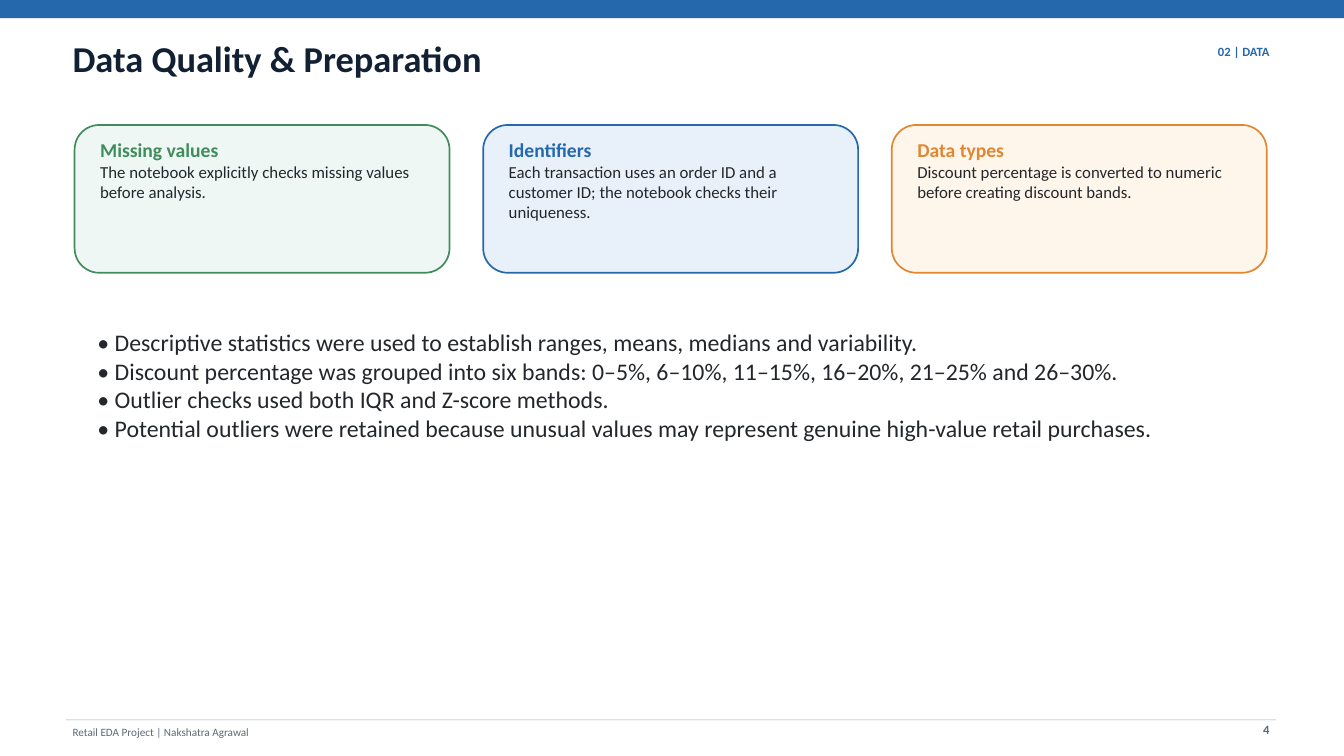
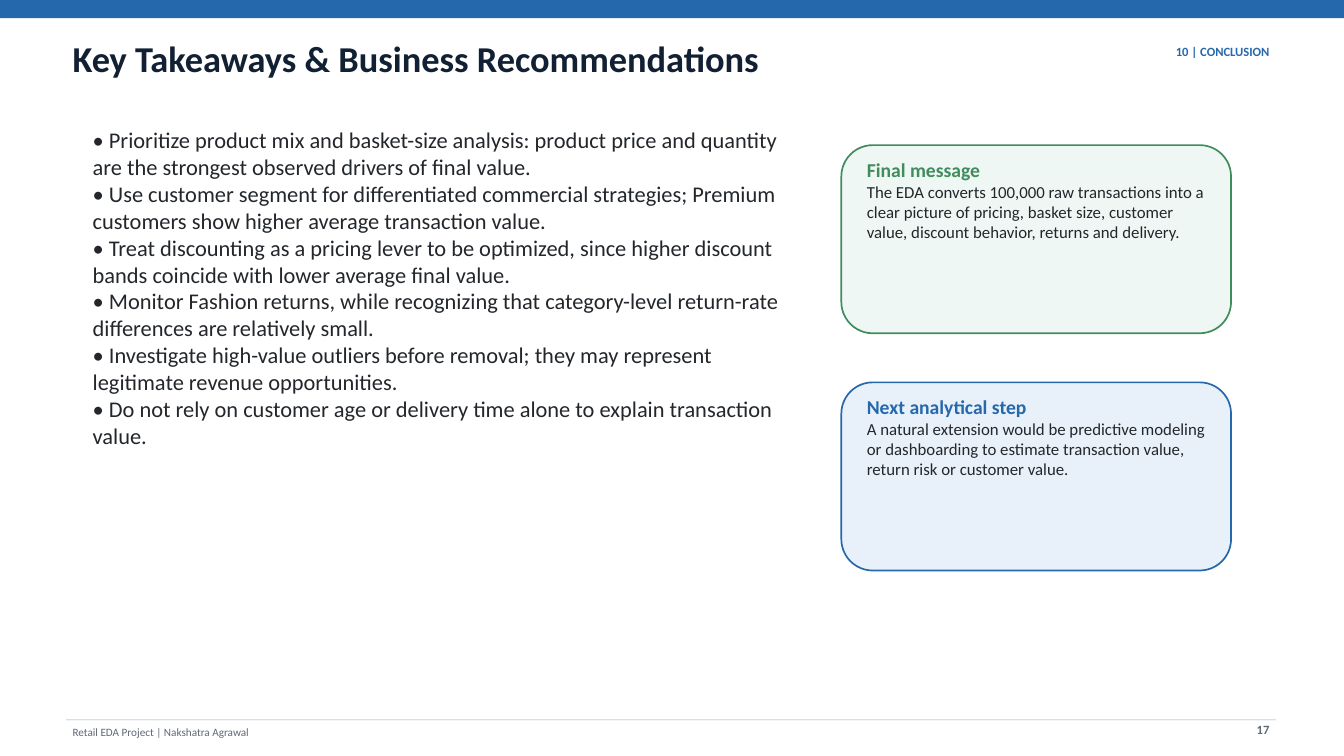
"""Build the data quality and key takeaways slides of the retail EDA deck."""
from pptx import Presentation
from pptx.dml.color import RGBColor
from pptx.enum.shapes import MSO_SHAPE
from pptx.enum.text import PP_ALIGN
from pptx.util import Inches, Pt

RECTANGLE = MSO_SHAPE.RECTANGLE
ROUNDED = MSO_SHAPE.ROUNDED_RECTANGLE
LEFT, RIGHT = PP_ALIGN.LEFT, PP_ALIGN.RIGHT

FONT = "Calibri"
BLUE, GREEN, ORANGE = "2668AC", "408C5D", "E08730"
NAVY, INK, GREY, RULE = "122034", "23272B", "5F6976", "DCE0E5"
TINTS = {GREEN: "EEF7F4", BLUE: "E8F1FA", ORANGE: "FFF6EB"}

TITLE = {"size": 39, "bold": True, "color": NAVY}
SECTION = {"size": 13.5, "bold": True, "color": BLUE}
FOOTER = {"size": 12, "bold": False, "color": GREY}
NUMBER = {"size": 13.5, "bold": True, "color": GREY}
CARD_BODY = {"size": 18, "bold": False, "color": INK}

CARD_INSET_X, CARD_INSET_Y = 0.38, 0.19

SLIDES = [
    {
        "title": "Data Quality & Preparation",
        "section": "02 | DATA",
        "number": "4",
        "bullet_area": (1.45, 4.88, 16.76, 4.01),
        "bullet_size": 25.5,
        "bullets": [
            "Descriptive statistics were used to establish ranges, means, medians and variability.",
            "Discount percentage was grouped into six bands: 0–5%, 6–10%, 11–15%, 16–20%, 21–25% and 26–30%.",
            "Outlier checks used both IQR and Z-score methods.",
            "Potential outliers were retained because unusual values may represent genuine high-value retail purchases.",
        ],
        "first_card": (1.11, 1.86),
        "card_size": (5.58, 2.2),
        "card_step": (6.08, 0),
        "cards": [
            (GREEN, "Missing values", "The notebook explicitly checks missing values before analysis."),
            (BLUE, "Identifiers",
             "Each transaction uses an order ID and a customer ID; the notebook checks their uniqueness."),
            (ORANGE, "Data types",
             "Discount percentage is converted to numeric before creating discount bands."),
        ],
    },
    {
        "title": "Key Takeaways & Business Recommendations",
        "section": "10 | CONCLUSION",
        "number": "17",
        "bullet_area": (1.38, 1.88, 10.46, 7.37),
        "bullet_size": 24,
        "bullets": [
            "Prioritize product mix and basket-size analysis: product price and quantity are the strongest "
            "observed drivers of final value.",
            "Use customer segment for differentiated commercial strategies; Premium customers show higher "
            "average transaction value.",
            "Treat discounting as a pricing lever to be optimized, since higher discount bands coincide with "
            "lower average final value.",
            "Monitor Fashion returns, while recognizing that category-level return-rate differences are "
            "relatively small.",
            "Investigate high-value outliers before removal; they may represent legitimate revenue opportunities.",
            "Do not rely on customer age or delivery time alone to explain transaction value.",
        ],
        "first_card": (12.52, 2.16),
        "card_size": (5.8, 2.8),
        "card_step": (0, 3.53),
        "cards": [
            (GREEN, "Final message",
             "The EDA converts 100,000 raw transactions into a clear picture of pricing, basket size, "
             "customer value, discount behavior, returns and delivery."),
            (BLUE, "Next analytical step",
             "A natural extension would be predictive modeling or dashboarding to estimate transaction value, "
             "return risk or customer value."),
        ],
    },
]


def add_panel(page, preset, area, fill, outline=None):
    """Draw a filled preset shape, outlined only when a colour is given."""
    panel = page.shapes.add_shape(preset, *map(Inches, area))
    panel.shadow.inherit = False
    panel.fill.solid()
    panel.fill.fore_color.rgb = RGBColor.from_string(fill)
    if outline:
        panel.line.color.rgb = RGBColor.from_string(outline)
        panel.line.width = Pt(1.8)
    else:
        panel.line.fill.background()


def add_text(page, area, lines, align=LEFT):
    """Add a box without margins, one paragraph per (text, style) pair."""
    frame = page.shapes.add_textbox(*map(Inches, area)).text_frame
    frame.word_wrap = True
    for side in ("left", "top", "right", "bottom"):
        setattr(frame, f"margin_{side}", 0)
    for index, (text, style) in enumerate(lines):
        paragraph = frame.paragraphs[0] if index == 0 else frame.add_paragraph()
        paragraph.alignment = align
        paragraph.line_spacing = Pt(style["size"] * 1.2)
        span = paragraph.add_run()
        span.text = text
        formats = {"name": FONT, "size": Pt(style["size"]), "bold": style["bold"]}
        for attribute, value in formats.items():
            setattr(span.font, attribute, value)
        span.font.color.rgb = RGBColor.from_string(style["color"])


deck = Presentation()
deck.slide_width, deck.slide_height = Inches(20), Inches(11.25)
blank = deck.slide_layouts[6]

for content in SLIDES:
    page = deck.slides.add_slide(blank)
    add_panel(page, RECTANGLE, (0, 0, 20, 0.27), BLUE)
    add_text(page, (1.08, 0.54, 17.66, 0.81), [(content["title"], TITLE)])
    add_text(page, (15.56, 0.65, 3.33, 0.46), [(content["section"], SECTION)], RIGHT)

    width, height = content["card_size"]
    for index, (accent, heading, body) in enumerate(content["cards"]):
        left, top = (start + index * step for start, step in zip(content["first_card"], content["card_step"]))
        add_panel(page, ROUNDED, (left, top, width, height), TINTS[accent], accent)
        text_area = (left + CARD_INSET_X, top + CARD_INSET_Y, width - 2 * CARD_INSET_X, height - 2 * CARD_INSET_Y)
        card_heading = {"size": 21, "bold": True, "color": accent}
        add_text(page, text_area, [(heading, card_heading), (body, CARD_BODY)])

    bullet_style = {"size": content["bullet_size"], "bold": False, "color": INK}
    add_text(page, content["bullet_area"], [(f"• {bullet}", bullet_style) for bullet in content["bullets"]])

    add_panel(page, RECTANGLE, (0.98, 10.7, 18.01, 0.02), RULE)
    add_text(page, (1.08, 10.79, 17.06, 0.22), [("Retail EDA Project | Nakshatra Agrawal", FOOTER)])
    add_text(page, (18.11, 10.74, 0.78, 0.31), [(content["number"], NUMBER)], RIGHT)

deck.save("out.pptx")
